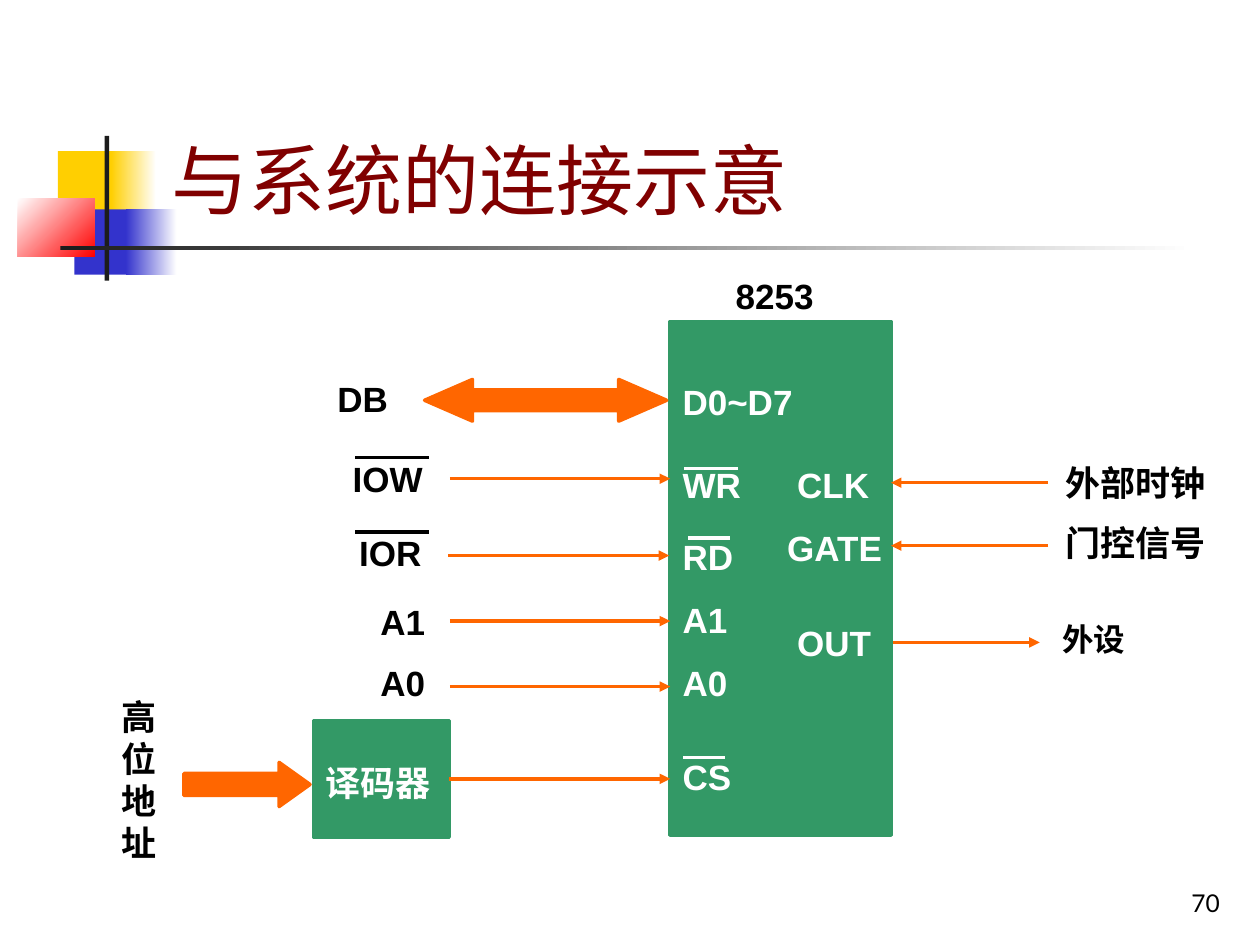
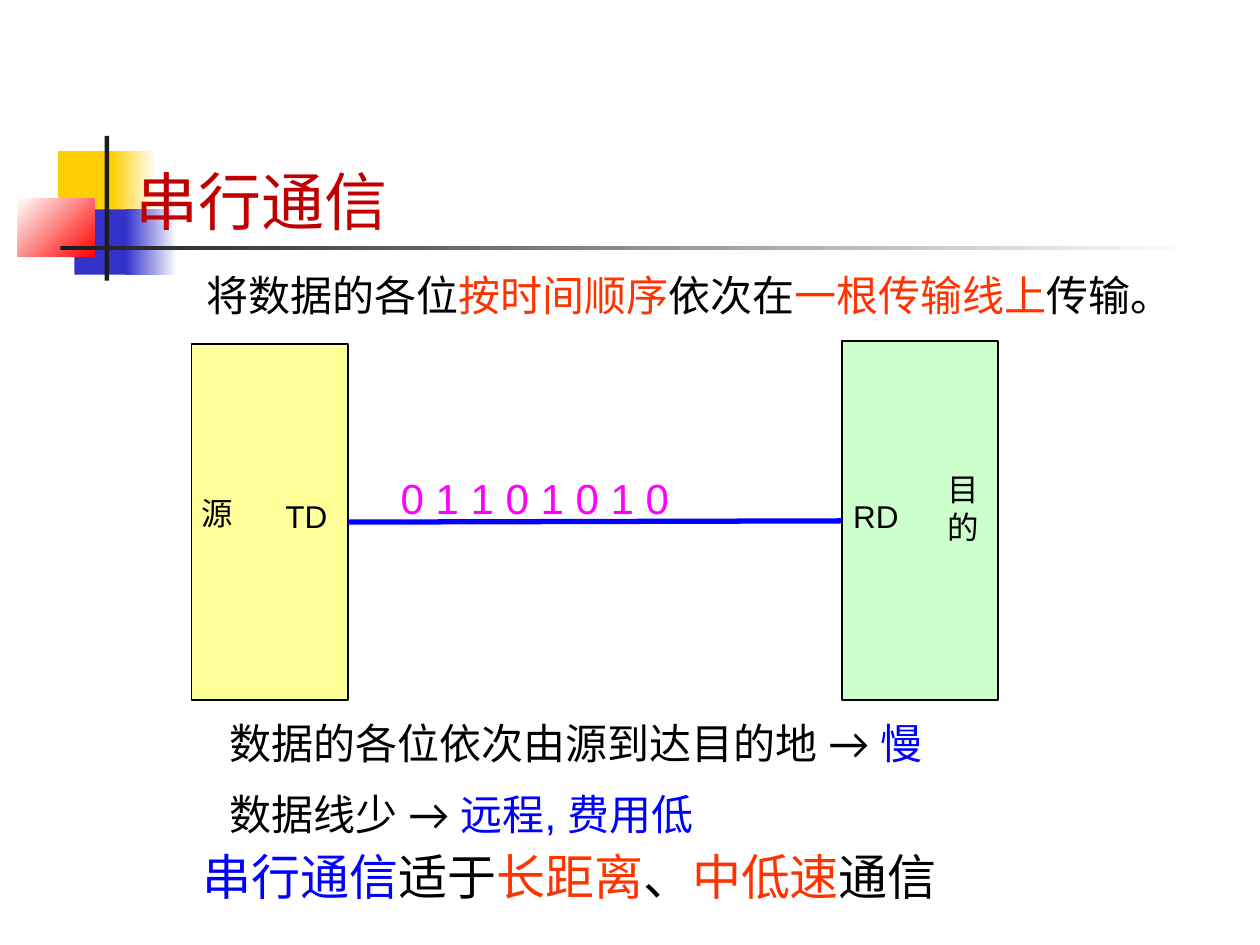
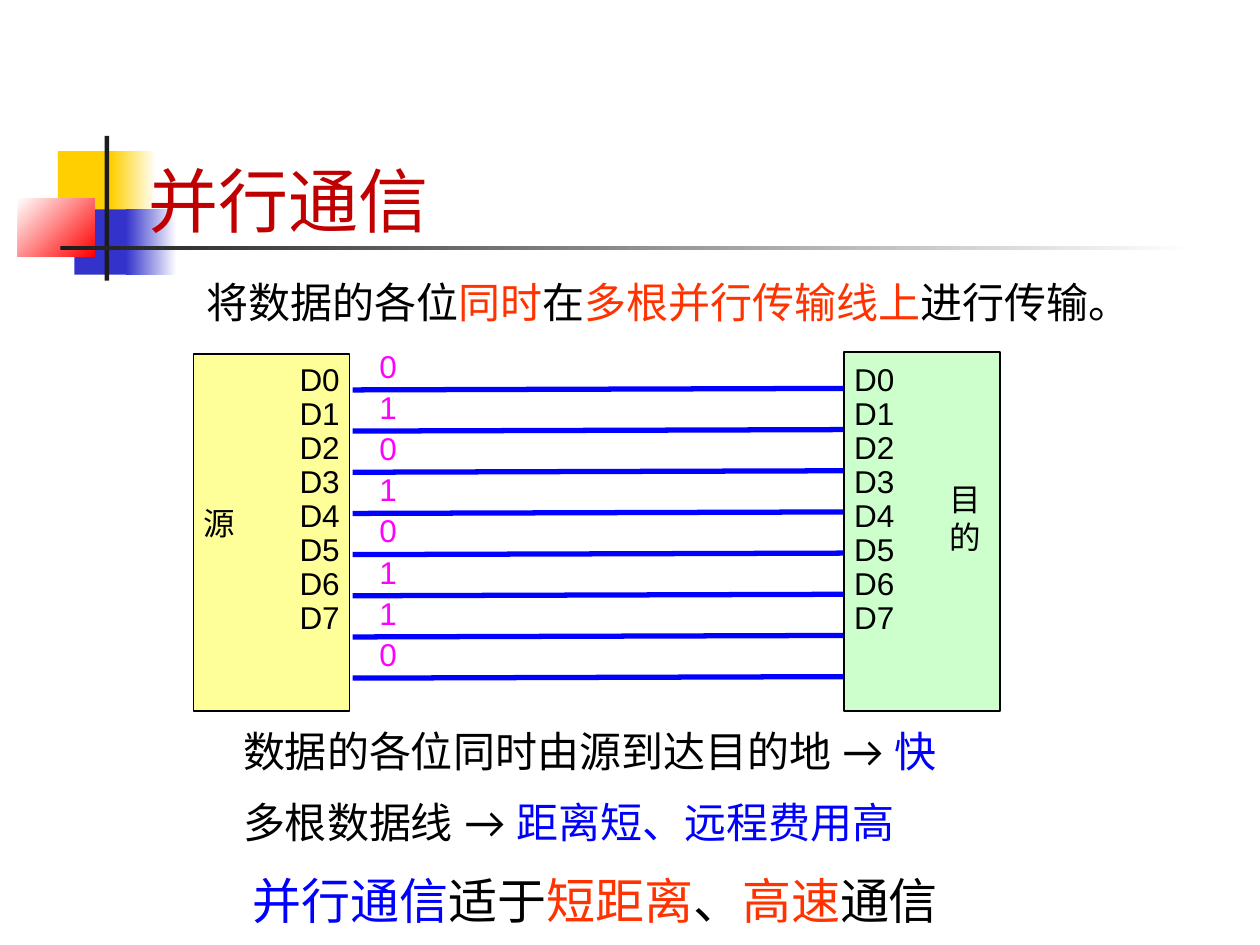
import dataclasses

import lxml.etree
import pptx
import pptx.dml.color
import pptx.enum.shapes
import pptx.enum.text
import pptx.oxml.ns
import pptx.util

Cm, Pt = pptx.util.Cm, pptx.util.Pt
qn = pptx.oxml.ns.qn
RGB = pptx.dml.color.RGBColor.from_string
MSO = pptx.enum.shapes.MSO_SHAPE
ALIGN = pptx.enum.text.PP_ALIGN


@dataclasses.dataclass(frozen=True)
class Style:
    size: int
    color: str = "000000"
    font: str = "Arial"
    bold: bool = False
    indent: float = 0
    after: int = 0
    spacing: float = 1
    align: ALIGN = ALIGN.LEFT


class Theme:
    black, white, ink = "000000", "FFFFFF", "1C1C1C"
    gold, navy, red = "FFCF01", "3333CC", "FF0000"
    chip, bus = "339966", "FF6600"
    source, target, wire = "FFFF99", "CCFFCC", "0000FF"
    key, result = "FF3300", "0000FF"
    east_asian = "Lato"
    title = Style(44, "800000", "Lato")
    number = Style(14, font="Lato", align=ALIGN.RIGHT)
    label = Style(20, bold=True)
    pin = Style(20, "FFFFFF", bold=True)
    small_label = Style(18, bold=True)
    decoder = Style(20, "FFFFFF", bold=True, spacing=1.35)
    heading = Style(36, "C00000", "Noto Sans CJK SC", after=18)
    big_heading = Style(40, "C00000", "Noto Sans CJK SC", indent=0.63, after=20)
    intro = Style(24, font="Lato", indent=1.43)
    wide_intro = Style(24, font="Lato", indent=1.8)
    point = Style(24, indent=2.54, after=12)
    conclusion = Style(28)
    name = Style(18)
    out_pin = Style(18, spacing=0.9, align=ALIGN.RIGHT)
    in_pin = Style(18, spacing=0.9)
    stream = Style(24, "FF00FF", align=ALIGN.CENTER)
    bit = Style(18, "FF00FF")


def add_text(s, box, paras, tight=False, bottom=False):
    """Each paragraph is (style, run, ...); a run is a string or (string, colour)."""
    tf = s.shapes.add_textbox(*map(Cm, box)).text_frame
    tf.word_wrap = True
    if tight:
        tf.margin_left = tf.margin_right = tf.margin_top = tf.margin_bottom = 0
    if bottom:
        tf.vertical_anchor = pptx.enum.text.MSO_ANCHOR.BOTTOM
    for i, (style, *runs) in enumerate(paras):
        p = tf.add_paragraph() if i else tf.paragraphs[0]
        p.alignment = style.align
        p.line_spacing = style.spacing
        p.space_after = Pt(style.after)
        p._p.get_or_add_pPr().set("marL", str(Cm(style.indent)))
        for run in runs:
            words, color = (run, style.color) if isinstance(run, str) else run
            r = p.add_run()
            r.text = words
            r.font.size = Pt(style.size)
            r.font.bold = style.bold
            r.font.color.rgb = RGB(color)
            r.font.name = style.font
            ea = lxml.etree.SubElement(r._r.get_or_add_rPr(), qn("a:ea"))
            ea.set("typeface", Theme.east_asian)


def add_shape(s, kind, box, colors, angle=0, line=None, width=2):
    """Two colours make a gradient; no line colour means no outline."""
    sp = s.shapes.add_shape(kind, *map(Cm, box))
    sp.shadow.inherit = False
    if len(colors) == 1:
        sp.fill.solid()
        sp.fill.fore_color.rgb = RGB(colors[0])
    else:
        sp.fill.gradient()
        sp.fill.gradient_angle = angle
        for stop, color in zip(sp.fill.gradient_stops, colors):
            stop.color.rgb = RGB(color)
    if line:
        sp.line.color.rgb = RGB(line)
        sp.line.width = Pt(width)
    else:
        sp.line.fill.background()
    return sp


prs = pptx.Presentation()
prs.slide_width, prs.slide_height = Cm(25.4), Cm(19.05)
slides = [prs.slides.add_slide(prs.slide_layouts[6]) for _ in range(3)]
system, serial, parallel = slides

# Corner ornament and title rule
for s in slides:
    for box, colors, angle in [
        ((1.17, 3.05, 1.22, 1.32), [Theme.gold], 0),
        ((2.24, 3.05, 0.91, 1.32), [Theme.gold, Theme.white], 0),
        ((1.5, 4.22, 1.17, 1.32), [Theme.navy], 0),
        ((2.54, 4.22, 1.02, 1.32), [Theme.navy, Theme.white], 0),
        ((0.36, 4.01, 1.55, 1.17), [Theme.white, Theme.red], 315),
        ((2.11, 2.74, 0.09, 2.92), [Theme.ink], 0),
        ((1.22, 4.95, 22.86, 0.09), [Theme.ink, Theme.white], 0),
    ]:
        add_shape(s, MSO.RECTANGLE, box, colors, angle)

# System connection of the 8253
add_text(system, (19.56, 17.35, 5.28, 1.27), [(Theme.number, "70")], bottom=True)
add_text(system, (3.2, 1.68, 21.64, 2.97), [(Theme.title, "与系统的连接示意")], bottom=True)
add_shape(system, MSO.RECTANGLE, (13.51, 6.48, 4.45, 10.36), [Theme.chip], line=Theme.chip)
decoder = add_shape(system, MSO.RECTANGLE, (6.32, 14.53, 2.74, 2.34), [Theme.chip], line=Theme.chip)
for kind, box, head in [
    (MSO.LEFT_RIGHT_ARROW, (8.56, 7.65, 4.88, 0.84), 1.15),
    (MSO.RIGHT_ARROW, (3.71, 15.37, 2.54, 0.89), 0.7),
]:
    arrow = add_shape(system, kind, box, [Theme.bus], line=Theme.bus)
    arrow.adjustments[0], arrow.adjustments[1] = 0.5, head

for x, y, w, words, style in [
    (15.82, 9.22, 2.34, "CLK", Theme.pin),
    (15.62, 10.49, 2.74, "GATE", Theme.pin),
    (15.82, 12.4, 2.34, "OUT", Theme.pin),
    (13.51, 7.54, 2.97, "D0~D7", Theme.pin),
    (13.51, 9.22, 2.11, "WR", Theme.pin),
    (13.51, 10.67, 2.11, "RD", Theme.pin),
    (13.51, 11.94, 1.9, "A1", Theme.pin),
    (13.51, 13.21, 1.9, "A0", Theme.pin),
    (13.51, 15.11, 1.9, "CS", Theme.pin),
    (6.55, 7.49, 2.11, "DB", Theme.label),
    (6.86, 9.09, 2.11, "IOW", Theme.label),
    (6.99, 10.59, 2.11, "IOR", Theme.label),
    (7.42, 11.99, 1.68, "A1", Theme.label),
    (7.42, 13.21, 1.68, "A0", Theme.label),
    (14.58, 5.41, 2.11, "8253", Theme.label),
    (21.23, 9.17, 3.58, "外部时钟", Theme.label),
    (21.23, 10.39, 3.58, "门控信号", Theme.label),
    (21.16, 12.37, 2.74, "外设", Theme.small_label),
    (6.32, 14.94, 2.97, "译码器", Theme.decoder),
]:
    add_text(system, (x, y, w, 1.09), [(style, words)])
add_text(system, (2.21, 13.89, 1.7, 3.63), [(Theme.label, "高位地址")])

# Every line: slide, x1, y1, x2, y2, colour, width, arrowhead, shape at start, shape at end
lines = [(system, x1, y, x2, y, Theme.bus, 2, True, start, None) for x1, x2, y, start in [
    (9.07, 13.51, 9.65, None),
    (9.04, 13.49, 11.2, None),
    (9.07, 13.51, 12.52, None),
    (9.07, 13.51, 13.84, None),
    (9.06, 13.51, 15.7, decoder),
    (21.13, 17.96, 9.73, None),
    (21.13, 17.96, 11, None),
    (18.01, 20.96, 12.95, None),
]]
lines += [(system, x1, y, x2, y, color, 2, False, None, None) for x1, x2, y, color in [
    (13.77, 14.61, 15.27, Theme.white),
    (13.87, 14.71, 10.85, Theme.white),
    (13.79, 14.88, 9.45, Theme.white),
    (7.16, 8.64, 9.22, Theme.black),
    (7.16, 8.64, 10.72, Theme.black),
]]

# Serial and parallel transfer: the same two stations on both slides
stations = []
for s, dx, dy, out_pins, in_pins, pins_x, pins_y in [
    (serial, 0, 0, ["TD"], ["RD"], (5.13, 17.2), 10.11),
    (parallel, 0.04, 0.21, *[[f"D{i}" for i in range(8)]] * 2, (5.38, 17.22), 7.34),
]:
    stations.append([
        add_shape(s, MSO.RECTANGLE, (x + dx, y + dy, 3.15, h), [color], line=Theme.black, width=1)
        for x, y, h, color in [(3.86, 6.93, 7.19, Theme.source), (16.97, 6.88, 7.24, Theme.target)]
    ])
    add_text(s, (4.06 + dx, 9.96 + dy, 1.07, 0.84), [(Theme.name, "源")], tight=True)
    add_text(s, (19.1 + dx, 9.47 + dy, 1.07, 2.11), [(Theme.name, c) for c in "目的"], tight=True)
    for x, style, pins in zip(pins_x, (Theme.out_pin, Theme.in_pin), (out_pins, in_pins)):
        add_text(s, (x, pins_y, 1.47, 0.82 * len(pins)), [(style, pin) for pin in pins], tight=True)

for s, box, paras in [
    (serial, (2.49, 3.15, 22.43, 3.58), [
        (Theme.heading, "串行通信"),
        (Theme.intro, "将数据的各位", ("按时间顺序", Theme.key), "依次在",
         ("一根传输线上", Theme.key), "传输。")]),
    (serial, (1.83, 14.33, 19.48, 3.3), [
        (Theme.point, "数据的各位依次由源到达目的地 → ", ("慢", Theme.result)),
        (Theme.point, "数据线少 → ", ("远程, 费用低", Theme.result))]),
    (serial, (3.84, 16.94, 15.47, 2.03), [
        (Theme.conclusion, ("串行通信", Theme.result), "适于", ("长距离", Theme.key), "、",
         ("中低速", Theme.key), "通信")]),
    (parallel, (2.11, 3.05, 23.5, 3.86), [
        (Theme.big_heading, "并行通信"),
        (Theme.wide_intro, "将数据的各位", ("同时", Theme.key), "在",
         ("多根并行传输线上", Theme.key), "进行传输。")]),
    (parallel, (2.11, 14.5, 20.96, 2.82), [
        (Theme.point, "数据的各位同时由源到达目的地 → ", ("快", Theme.result)),
        (Theme.point, "多根数据线 → ", ("距离短、远程费用高", Theme.result))]),
    (parallel, (4.85, 17.42, 14.45, 1.45), [
        (Theme.conclusion, ("并行通信", Theme.result), "适于", ("短距离", Theme.key), "、",
         ("高速", Theme.key), "通信")]),
]:
    add_text(s, box, paras)

add_text(serial, (7.85, 9.52, 5.87, 0.97), [(Theme.stream, "0 1 1 0 1 0 1 0")], tight=True)
lines.append((serial, 7.01, 10.53, 16.97, 10.5, Theme.wire, 3, False, *stations[0]))
for i, bit in enumerate("01010110"):
    y = 7.86 + 0.83 * i
    add_text(parallel, (7.65, y - 0.87, 0.38, 0.89), [(Theme.bit, bit)], tight=True)
    lines.append((parallel, 7.11, y, 16.99, y - 0.03, Theme.wire, 3, False, None, None))

for s, x1, y1, x2, y2, color, width, arrowhead, start, end in lines:
    cx = s.shapes.add_connector(
        pptx.enum.shapes.MSO_CONNECTOR.STRAIGHT, Cm(x1), Cm(y1), Cm(x2), Cm(y2))
    if start:
        cx.begin_connect(start, 3)
    if end:
        cx.end_connect(end, 1)
    cx.line.color.rgb = RGB(color)
    cx.line.width = Pt(width)
    if arrowhead:
        lxml.etree.SubElement(cx.line._get_or_add_ln(), qn("a:tailEnd")).set("type", "triangle")
    lxml.etree.SubElement(cx._element.spPr, qn("a:effectLst"))

prs.save("out.pptx")
